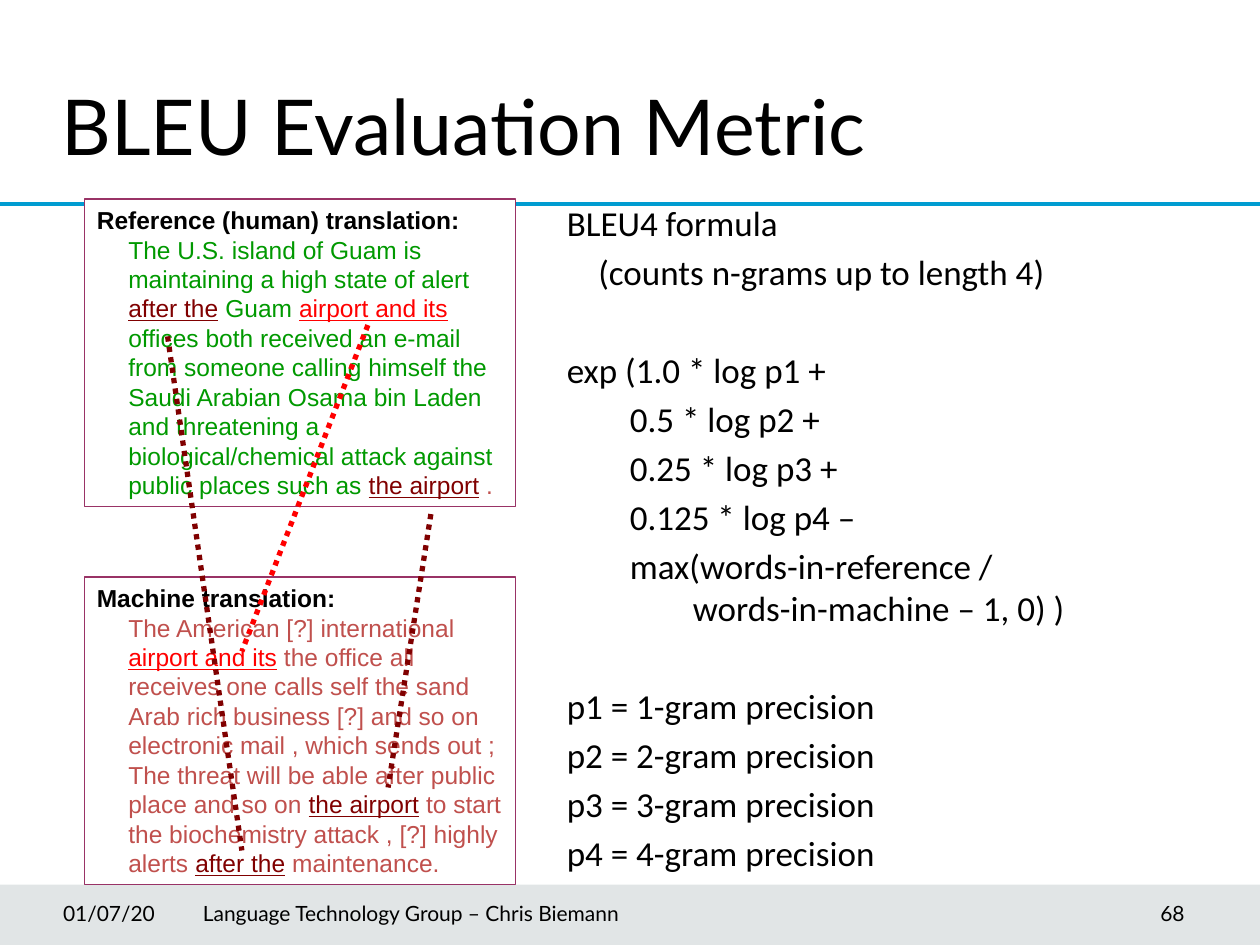
from lxml import etree
from pptx import Presentation
from pptx.dml.color import RGBColor
from pptx.enum.dml import MSO_LINE
from pptx.enum.shapes import MSO_CONNECTOR, MSO_SHAPE
from pptx.enum.text import MSO_ANCHOR, PP_ALIGN
from pptx.oxml.ns import qn
from pptx.util import Inches, Pt

RECT = MSO_SHAPE.RECTANGLE
STRAIGHT = MSO_CONNECTOR.STRAIGHT
DOTTED = MSO_LINE.ROUND_DOT
TOP, MIDDLE = MSO_ANCHOR.TOP, MSO_ANCHOR.MIDDLE
LEFT, RIGHT = PP_ALIGN.LEFT, PP_ALIGN.RIGHT

COLORS = {
    "black": "000000", "white": "FFFFFF", "footer": "3B515B", "rule": "009CD1",
    "border": "993366", "green": "009900", "maroon": "800000",
    "red": "FF0000", "rust": "C0504D",
}


def rgb(name):
    return RGBColor.from_string(COLORS[name])


def add_run(p, text, *, size, font, color="black", bold=False, underline=False):
    r = p.add_run()
    r.text = text
    r.font.size = Pt(size)
    r.font.name = font
    r.font.color.rgb = rgb(color)
    r.font.bold = bold
    r.font.underline = underline
    return r


def set_indent(p, margin, first):
    pPr = p._p.get_or_add_pPr()
    pPr.set("marL", str(Inches(margin)))
    pPr.set("indent", str(Inches(first)))


class SlideBuilder:
    heading_font, body_font, sample_font = "Lato", "Calibri", "Arial"

    def __init__(self, slide):
        self.s = slide

    def rect(self, x, y, w, h, fill, line=None, alpha=None):
        sp = self.s.shapes.add_shape(RECT, Inches(x), Inches(y), Inches(w), Inches(h))
        sp.shadow.inherit = False
        sp.fill.solid()
        sp.fill.fore_color.rgb = rgb(fill)
        if alpha is not None:
            clr = sp._element.spPr.find(qn("a:solidFill"))[0]
            etree.SubElement(clr, qn("a:alpha")).set("val", str(alpha * 1000))
        if line:
            sp.line.color.rgb = rgb(line)
            sp.line.width = Pt(0.75)
        else:
            sp.line.fill.background()
        return sp

    def line(self, start, end, color, width, dash=None):
        cx = self.s.shapes.add_connector(STRAIGHT, *map(Inches, start + end))
        cx.line.color.rgb = rgb(color)
        cx.line.width = Pt(width)
        if dash:
            cx.line.dash_style = dash
        etree.SubElement(cx._element.spPr, qn("a:effectLst"))

    def textbox(self, x, y, w, h, anchor=TOP):
        sp = self.s.shapes.add_textbox(Inches(x), Inches(y), Inches(w), Inches(h))
        tf = sp.text_frame
        tf.word_wrap = True
        tf.vertical_anchor = anchor
        return tf

    def label(self, x, y, w, h, text, size=12, align=LEFT, inset=0.1):
        tf = self.textbox(x, y, w, h, MIDDLE)
        tf.margin_left = Inches(inset)
        p = tf.paragraphs[0]
        p.alignment = align
        add_run(p, text, size=size, font=self.heading_font)

    def formula(self, x, y, w, h, rows):
        tf = self.textbox(x, y, w, h)
        for i, (lines, margin, first, gap) in enumerate(rows):
            p = tf.paragraphs[0] if i == 0 else tf.add_paragraph()
            set_indent(p, margin, first)
            if i:
                p.space_before = Pt(gap)
            for j, text in enumerate(lines.split("\n")):
                if j:
                    p.add_line_break()
                add_run(p, text, size=20, font=self.body_font)

    def translation(self, y, heading, parts):
        tf = self.rect(0.67, y, 3.42, 2.44, "white", "border").text_frame
        tf.word_wrap = True
        tf.vertical_anchor = TOP
        p = tf.paragraphs[0]
        p.alignment = LEFT
        set_indent(p, 0.25, -0.25)
        add_run(p, heading, size=14, font=self.sample_font, bold=True)
        p.add_line_break()
        for text, color in parts:
            # Matched n-grams are underlined
            add_run(p, text, size=14, font=self.sample_font, color=color,
                    underline=color in ("maroon", "red"))


def main():
    prs = Presentation()
    prs.slide_width, prs.slide_height = Inches(10), Inches(7.5)
    b = SlideBuilder(prs.slides.add_slide(prs.slide_layouts[6]))

    # Footer band, rule and title
    b.rect(0, 7.02, 10, 0.48, "footer", alpha=15)
    b.line((0, 1.62), (10, 1.62), "rule", 2)
    b.label(0.39, 0.53, 7.52, 0.92, "BLEU Evaluation Metric", size=44)

    # Formula: text, left margin, first-line indent, space before
    near, far = 4, 32
    b.formula(4.4, 1.55, 5.58, 5.24, [
        ("BLEU4 formula", 0, 0, near),
        ("(counts n-grams up to length 4)", 0.25, 0, near),
        ("exp (1.0 * log p1 +", 0, 0, far),
        ("0.5 * log p2 +", 0.5, 0, near),
        ("0.25 * log p3 +", 0.5, 0, near),
        ("0.125 * log p4 –", 0.5, 0, near),
        ("max(words-in-reference /\nwords-in-machine – 1, 0) )", 1, -0.5, near),
    ] + [(f"p{n} = {n}-gram precision", 0, 0, far if n == 1 else near)
         for n in range(1, 5)])

    # Translations
    b.translation(1.58, "Reference (human) translation:", [
        ("The U.S. island of Guam is maintaining a high state of alert ", "green"),
        ("after the", "maroon"),
        (" Guam ", "green"),
        ("airport and its", "red"),
        (" offices both received an e-mail from someone calling himself the "
         "Saudi Arabian Osama bin Laden and threatening a biological/chemical "
         "attack against public places such as ", "green"),
        ("the airport", "maroon"),
        (" .", "rust"),
    ])
    b.translation(4.58, "Machine translation:", [
        ("The American [?] international ", "rust"),
        ("airport and its", "red"),
        (" the office all receives one calls self the sand Arab rich business "
         "[?] and so on electronic mail , which sends out ; The threat will be "
         "able after public place and so on ", "rust"),
        ("the airport", "maroon"),
        (" to start the biochemistry attack , [?] highly alerts ", "rust"),
        ("after the", "maroon"),
        (" maintenance.", "rust"),
    ])

    # Links between matching n-grams
    for start, end, color in [
        ((2.92, 2.58), (1.92, 5.17), "red"),
        ((1.33, 2.67), (1.92, 6.75), "maroon"),
        ((3.42, 4.08), (3.08, 6.25), "maroon"),
    ]:
        b.line(start, end, color, 3, DOTTED)

    # Footer text
    b.label(0.5, 7.05, 0.99, 0.4, "01/07/20", inset=0)
    b.label(1.61, 7.05, 4.91, 0.4, "Language Technology Group – Chris Biemann", inset=0)
    b.label(7.98, 7.05, 1.52, 0.4, "68", align=RIGHT)

    prs.save("out.pptx")


if __name__ == "__main__":
    main()
